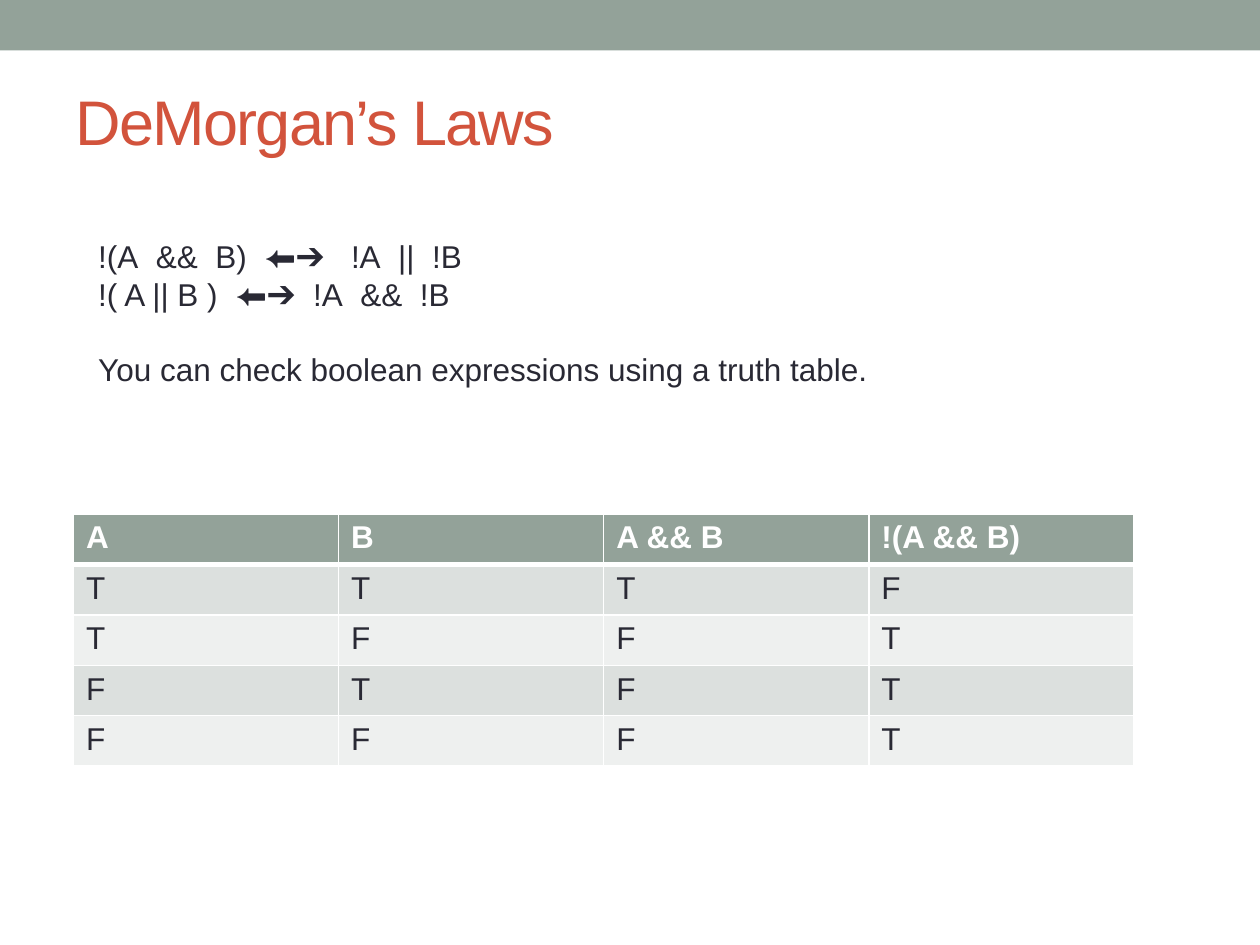
from lxml import etree
from pptx import Presentation
from pptx.dml.color import RGBColor
from pptx.enum.shapes import MSO_SHAPE
from pptx.enum.text import MSO_ANCHOR, MSO_AUTO_SIZE, PP_ALIGN
from pptx.oxml.ns import qn
from pptx.util import Cm, Pt

RECTANGLE = MSO_SHAPE.RECTANGLE
MIDDLE = MSO_ANCHOR.MIDDLE
NO_AUTOFIT = MSO_AUTO_SIZE.NONE
LEFT = PP_ALIGN.LEFT

SAGE = RGBColor(0x93, 0xA2, 0x99)
BRICK = RGBColor(0xD2, 0x53, 0x3C)
INK = RGBColor(0x29, 0x29, 0x34)
WHITE = RGBColor(0xFF, 0xFF, 0xFF)
BANDS = (RGBColor(0xDC, 0xE0, 0xDE), RGBColor(0xEE, 0xF0, 0xEF))
FONT = "Arial"

TITLE = "DeMorgan’s Laws"
WIDE, WIDER = 5, 10
LAWS = [
    [("!(A", WIDE), ("&&", WIDE), ("B)", WIDE), ("⬅➔", WIDER),
     ("!A", WIDE), ("||", WIDE), ("!B", None)],
    [("!( A || B )", WIDE), ("⬅➔", WIDE),
     ("!A", WIDE), ("&&", WIDE), ("!B", None)],
    [("You can check boolean expressions using a truth table.", None)],
]
TRUTH_TABLE = [
    ("A", "B", "A && B", "!(A && B)"),
    ("T", "T", "T", "F"),
    ("T", "F", "F", "T"),
    ("F", "T", "F", "T"),
    ("F", "F", "F", "T"),
]


def add_span(para, text, size, color, bold=False, spacing=0):
    span = para.add_run()
    span.text = text
    span.font.name = FONT
    span.font.size = Pt(size)
    span.font.bold = bold
    span.font.color.rgb = color
    if spacing:
        span._r.get_or_add_rPr().set("spc", str(spacing * 100))


def add_borders(cell, widths):
    properties = cell._tc.get_or_add_tcPr()
    for side, width in widths.items():
        line = etree.SubElement(properties, qn(f"a:ln{side}"), w=str(Pt(width)))
        fill = etree.SubElement(line, qn("a:solidFill"))
        etree.SubElement(fill, qn("a:srgbClr"), val=str(WHITE))


deck = Presentation()
deck.slide_width, deck.slide_height = Cm(25.4), Cm(19.05)
page = deck.slides.add_slide(deck.slide_layouts.get_by_name("Title Only"))

banner = page.shapes.add_shape(RECTANGLE, 0, 0, deck.slide_width, Cm(1.02))
banner.shadow.inherit = False
banner.fill.solid()
banner.fill.fore_color.rgb = SAGE
banner.line.fill.background()

title = page.shapes.title
title.left, title.top, title.width, title.height = Cm(1.27), Cm(1.47), Cm(22.86), Cm(1.91)
title.text_frame.auto_size = NO_AUTOFIT
title.text_frame.vertical_anchor = MIDDLE
title_para = title.text_frame.paragraphs[0]
title_para.alignment = LEFT
add_span(title_para, TITLE, 36, BRICK, spacing=-1)

laws_box = page.shapes.add_textbox(Cm(1.73), Cm(4.65), Cm(19.69), Cm(3.33))
laws_frame = laws_box.text_frame
laws_frame.word_wrap = True
for index, law in enumerate(LAWS):
    para = laws_frame.add_paragraph() if index else laws_frame.paragraphs[0]
    for text, gap in law:
        add_span(para, text, 18, INK)
        if gap:
            add_span(para, " ", 18, INK, spacing=gap)
laws_frame.paragraphs[-1].space_before = Pt(21.6)

row_count, column_count = len(TRUTH_TABLE), len(TRUTH_TABLE[0])
table = page.shapes.add_table(
    row_count, column_count, Cm(1.48), Cm(10.36), Cm(21.38), Cm(5.08)).table
for row_index, values in enumerate(TRUTH_TABLE):
    header = row_index == 0
    for column_index, value in enumerate(values):
        cell = table.cell(row_index, column_index)
        add_borders(cell, {"L": 1, "R": 1,
                           "T": 3 if row_index == 1 else 1,
                           "B": 3 if header else 1})
        cell.fill.solid()
        cell.fill.fore_color.rgb = SAGE if header else BANDS[(row_index - 1) % 2]
        add_span(cell.text_frame.paragraphs[0], value, 18,
                 WHITE if header else INK, bold=header)

deck.save("out.pptx")
